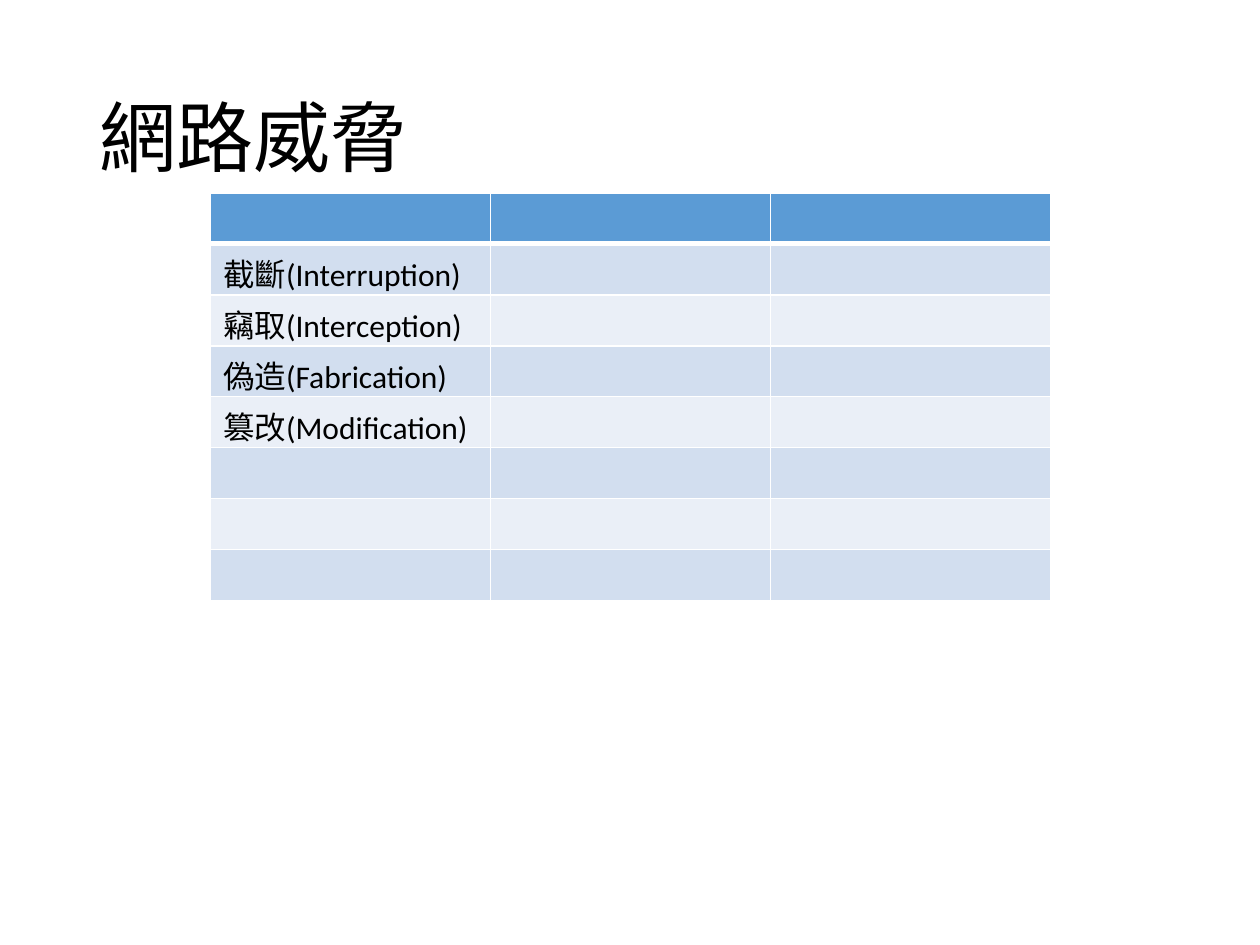
"""Build a slide that lists network threats in a banded table."""
import dataclasses
import typing

import lxml.etree
import pptx
import pptx.dml.color
import pptx.enum.text
import pptx.oxml.ns
import pptx.util

Inches = pptx.util.Inches
Pt = pptx.util.Pt


@dataclasses.dataclass(frozen=True)
class Theme:
    font: str = "Calibri"
    ink: str = "000000"
    head: str = "5B9BD5"
    bands: tuple[str, str] = ("D2DEEF", "EAEFF7")
    line: str = "FFFFFF"
    thin: float = 1
    thick: float = 3
    title: float = 44
    body: float = 18


class Box(typing.NamedTuple):
    left: float
    top: float
    width: float
    height: float

    def place(self) -> list[int]:
        return [Inches(side) for side in self]


class Row(typing.NamedTuple):
    label: str
    fill: str
    above: float
    below: float


THEME = Theme()
TITLE = Box(0.69, 0.4, 8.62, 1.45)
GRID = Box(1.67, 1.53, 6.67, 3.24)
COLS = 3
LABELS = ["", "截斷(Interruption)", "竊取(Interception)",
          "偽造(Fabrication)", "篡改(Modification)", "", "", ""]


def style(frame: typing.Any, size: float) -> None:
    for par in frame.paragraphs:
        par.font.size = Pt(size)
        for run in par.runs:
            run.font.size = Pt(size)
            run.font.name = THEME.font
            run.font.bold = False
            run.font.color.rgb = pptx.dml.color.RGBColor.from_string(THEME.ink)


def edge(cell: typing.Any, side: str, width: float) -> None:
    name = pptx.oxml.ns.qn
    props = cell._tc.get_or_add_tcPr()
    line = lxml.etree.SubElement(props, name(f"a:ln{side}"), w=str(Pt(width)))
    fill = lxml.etree.SubElement(line, name("a:solidFill"))
    lxml.etree.SubElement(fill, name("a:srgbClr"), val=THEME.line)


def draw_cell(cell: typing.Any, text: str, row: Row) -> None:
    cell.text_frame.text = text
    style(cell.text_frame, THEME.body)
    sides = {"L": THEME.thin, "R": THEME.thin, "T": row.above, "B": row.below}
    for side, width in sides.items():
        edge(cell, side, width)
    cell.fill.solid()
    cell.fill.fore_color.rgb = pptx.dml.color.RGBColor.from_string(row.fill)


def make_row(index: int, label: str) -> Row:
    fill = THEME.bands[(index - 1) % 2] if index else THEME.head
    above = THEME.thick if index == 1 else THEME.thin
    below = THEME.thin if index else THEME.thick
    return Row(label, fill, above, below)


def draw_title(slide: typing.Any, text: str) -> None:
    frame = slide.shapes.add_textbox(*TITLE.place()).text_frame
    frame.word_wrap = True
    frame.vertical_anchor = pptx.enum.text.MSO_ANCHOR.MIDDLE
    frame.text = text
    frame.paragraphs[0].line_spacing = 0.9
    style(frame, THEME.title)


def draw_table(slide: typing.Any, rows: list[Row]) -> None:
    table = slide.shapes.add_table(len(rows), COLS, *GRID.place()).table
    for index, row in enumerate(rows):
        for col in range(COLS):
            draw_cell(table.cell(index, col), "" if col else row.label, row)


def main() -> None:
    deck = pptx.Presentation()
    deck.slide_width, deck.slide_height = Inches(10), Inches(7.5)
    slide = deck.slides.add_slide(deck.slide_layouts[6])
    draw_title(slide, "網路威脅")
    draw_table(slide, [make_row(*item) for item in enumerate(LABELS)])
    deck.save("out.pptx")


if __name__ == "__main__":
    main()
